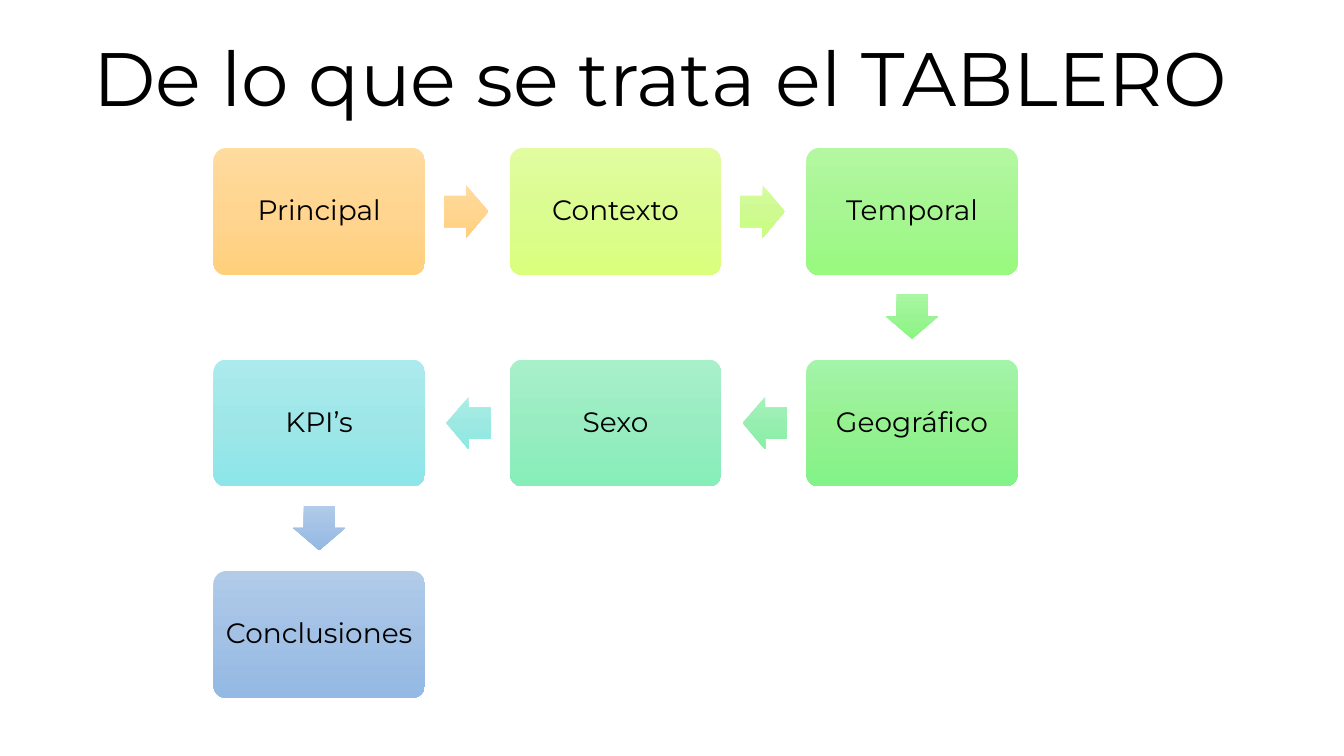
from dataclasses import dataclass
from lxml import etree
from pptx import Presentation
from pptx import util as u
from pptx.dml.color import RGBColor
from pptx.enum import shapes, text
from pptx.oxml import ns


@dataclass(frozen=True)
class Theme:
    font: str = "Montserrat"
    ink: str = "000000"
    head: int = 54
    body: int = 20
    # Gradient stops from top to bottom, one set per box
    boxes: tuple = (
        "FFDB9E FFD590 FFD07C", "E1FD9F DBFC91 D9FF7D",
        "B3F8A1 A7F693 98FA7E", "A4F4A9 96F191 82F388",
        "A8F0CA 99ECC1 86EEB9", "ACEBED 9EE6E8 8CE6E9",
        "B1CBE9 A3C1E5 93B9E4")
    # One set per arrow
    arrows: tuple = (
        "FFDB9E FFD590 FFD07C", "D5FC9F CEFA91 CAFF7D",
        "A9F7A2 9BF494 89F780", "A6F2BC 98EEB0 84F0A4",
        "ABEDE7 9DE9E2 8BEAE2", "B1CBE9 A3C1E5 93B9E4")


THEME = Theme()
STEPS = ("Principal", "Contexto", "Temporal", "Geográfico",
         "Sexo", "KPI’s", "Conclusiones")

# Lengths in centimetres
COLS = 3
LEFT, TOP = 5.38, 3.73
BOX_W, BOX_H = 5.33, 3.2
STEP_X, STEP_Y = 7.47, 5.33
ARROW_W, ARROW_H = 1.12, 1.32
MID = 0.496  # arrow centre along the way between two boxes


def assign(item, values):
    for name, value in values.items():
        setattr(item, name, value)


def write(shape, words, size, inset, wrap):
    """Put one centred line of text in a shape."""
    frame = shape.text_frame
    frame.text = words
    assign(frame, {
        "word_wrap": wrap, "vertical_anchor": text.MSO_ANCHOR.MIDDLE,
        "margin_left": u.Cm(inset), "margin_right": u.Cm(inset),
        "margin_top": u.Cm(inset), "margin_bottom": u.Cm(inset)})
    line = frame.paragraphs[0]
    line.alignment = text.PP_ALIGN.CENTER
    assign(line.runs[0].font, {"name": THEME.font, "size": u.Pt(size)})
    line.runs[0].font.color.rgb = RGBColor.from_string(THEME.ink)
    return line


def shade(shape, stops):
    """Fill with a downward gradient that stays upright when turned."""
    shape.fill.gradient()
    grad = shape._element.spPr.find(ns.qn("a:gradFill"))
    grad.set("rotWithShape", "0")
    for child in list(grad):
        grad.remove(child)
    group = etree.SubElement(grad, ns.qn("a:gsLst"))
    for i, color in enumerate(stops.split()):
        stop = etree.SubElement(group, ns.qn("a:gs"), pos=str(i * 50000))
        etree.SubElement(stop, ns.qn("a:srgbClr"), val=color)
    etree.SubElement(grad, ns.qn("a:lin"), ang="5400000", scaled="0")


def add_form(slide, kind, center, size, stops, adjust):
    (x, y), (w, h) = center, size
    shape = slide.shapes.add_shape(
        kind, u.Cm(x - w / 2), u.Cm(y - h / 2), u.Cm(w), u.Cm(h))
    for i, value in enumerate(adjust):
        shape.adjustments[i] = value
    shape.shadow.inherit = False
    shape.line.fill.background()
    shade(shape, stops)
    return shape


def add_box(slide, words, center, stops):
    box = add_form(slide, shapes.MSO_SHAPE.ROUNDED_RECTANGLE, center,
                   (BOX_W, BOX_H), stops, [0.1])
    write(box, words, THEME.body, 0.2, True).line_spacing = 0.9


def add_arrow(slide, start, end, stops):
    center = [a + (b - a) * MID for a, b in zip(start, end)]
    arrow = add_form(slide, shapes.MSO_SHAPE.RIGHT_ARROW, center,
                     (ARROW_W, ARROW_H), stops, [0.6, 0.5])
    if end[1] > start[1]:
        arrow.rotation = 90
    elif end[0] < start[0]:
        arrow.rotation = 180


def place(i):
    """Centre of a box on the winding way: right, then back left."""
    row, col = divmod(i, COLS)
    if row % 2:
        col = COLS - 1 - col
    return (LEFT + BOX_W / 2 + col * STEP_X,
            TOP + BOX_H / 2 + row * STEP_Y)


def add_title(slide, words):
    title = slide.shapes.title
    assign(title, {"left": u.Cm(1.65), "top": u.Cm(0.64),
                   "width": u.Cm(29.97), "height": u.Cm(2.57)})
    write(title, words, THEME.head, 0.13, False)


def main():
    deck = Presentation()
    assign(deck, {"slide_width": u.Cm(33.87), "slide_height": u.Cm(19.05)})
    slide = deck.slides.add_slide(deck.slide_layouts.get_by_name("Title Only"))

    # Heading
    add_title(slide, "De lo que se trata el TABLERO")

    # Boxes, each with the arrow to the next
    for i, words in enumerate(STEPS):
        add_box(slide, words, place(i), THEME.boxes[i])
        if i < len(THEME.arrows):
            add_arrow(slide, place(i), place(i + 1), THEME.arrows[i])

    deck.save("out.pptx")


if __name__ == "__main__":
    main()
